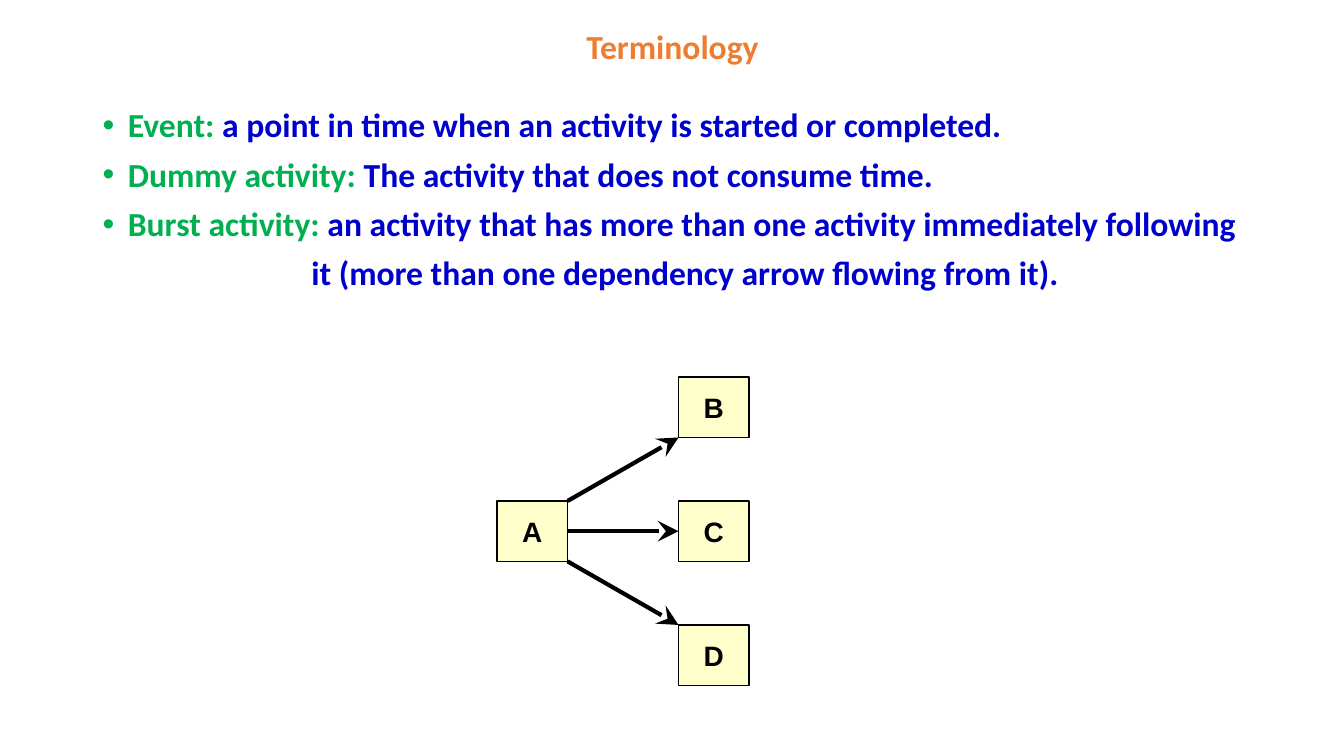
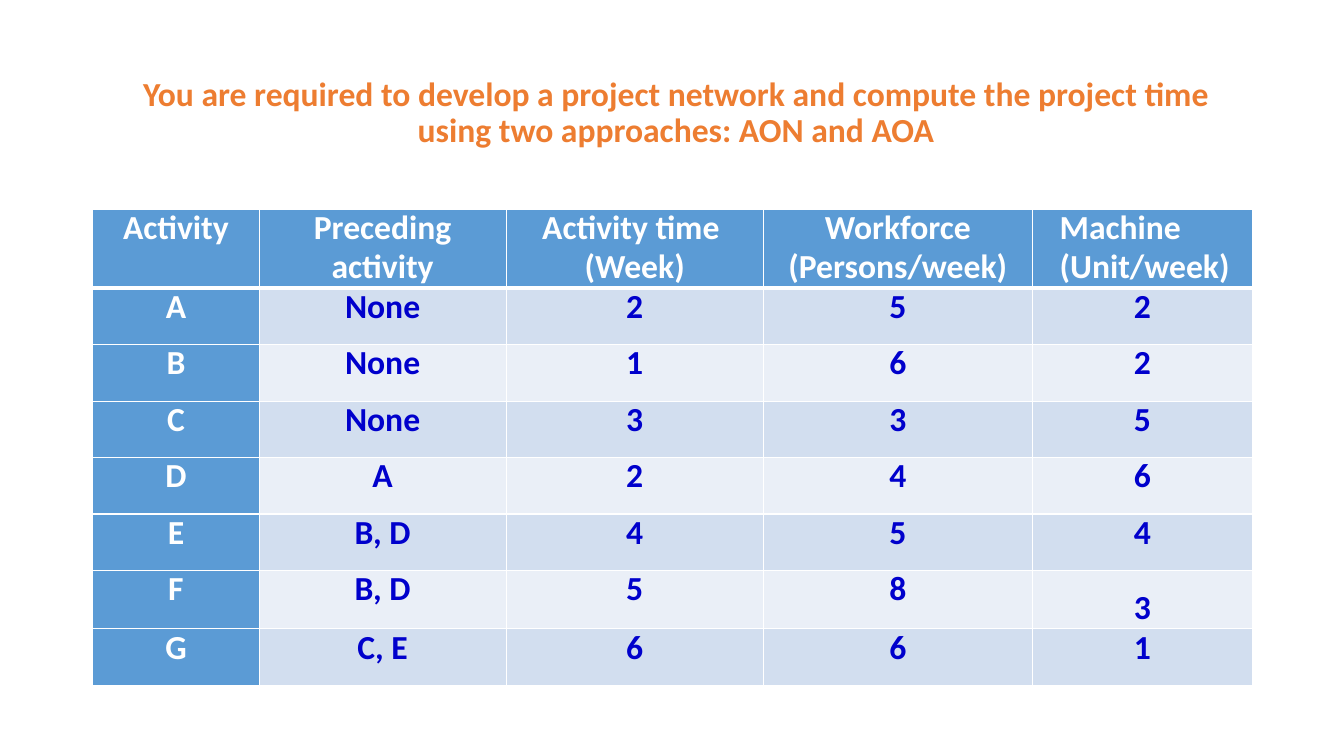
from dataclasses import dataclass

from lxml import etree
from pptx import Presentation
from pptx.dml.color import RGBColor
from pptx.enum.shapes import MSO_CONNECTOR, MSO_SHAPE
from pptx.enum.text import MSO_ANCHOR, PP_ALIGN
from pptx.oxml.ns import qn
from pptx.util import Inches, Pt

STRAIGHT = MSO_CONNECTOR.STRAIGHT
RECTANGLE = MSO_SHAPE.RECTANGLE
TOP, MIDDLE = MSO_ANCHOR.TOP, MSO_ANCHOR.MIDDLE
LEFT, CENTER = PP_ALIGN.LEFT, PP_ALIGN.CENTER

ORANGE, GREEN, BLUE = "ED7D31", "00B050", "0000CC"
BLACK, WHITE, CREAM = "000000", "FFFFFF", "FFFFCC"
HEADER_FILL, BANDS = "5B9BD5", ("D2DEEF", "EAEFF7")


@dataclass(frozen=True)
class Definition:
    term: str
    meaning: str


@dataclass(frozen=True)
class Activity:
    name: str
    left: float
    top: float
    width: float = 0.7
    height: float = 0.6


@dataclass(frozen=True)
class Dependency:
    source: Activity
    target: Activity
    leave: float
    arrive: float


@dataclass(frozen=True)
class Column:
    heading: str
    width: float
    align: PP_ALIGN = CENTER
    indent: float = 0.07


DEFINITIONS = (
    Definition("Event: ", "a point in time when an activity is started or completed."),
    Definition("Dummy activity: ", "The activity that does not consume time."),
    Definition("Burst activity: ", "an activity that has more than one activity immediately following"),
)
CONTINUATION = "it (more than one dependency arrow flowing from it)."

BURST = Activity("A", 4.93, 4.97)
FOLLOWERS = tuple(Activity(name, 6.73, 3.74 + 1.23 * index) for index, name in enumerate("BCD"))
DEPENDENCIES = tuple(
    Dependency(BURST, follower, index / 2, 1 - index / 2) for index, follower in enumerate(FOLLOWERS)
)

COLUMNS = (
    Column("Activity", 1.65),
    Column("Preceding\nactivity", 2.45),
    Column("Activity time \n(Week)", 2.55),
    Column("Workforce\n(Persons/week)", 2.67),
    Column("Machine\n(Unit/week)", 2.18, LEFT, 0.27),
)
ROWS = (
    ("A", "None", "2", "5", "2"),
    ("B", "None", "1", "6", "2"),
    ("C", "None", "3", "3", "5"),
    ("D", "A", "2", "4", "6"),
    ("E", "B, D", "4", "5", "4"),
    ("F", "B, D", "5", "8", "3"),
    ("G", "C, E", "6", "6", "1"),
)
HEADER_HEIGHT, ROW_HEIGHT, TALL_HEIGHT = 0.78, 0.56, 0.58
LOWERED_CELL = (6, 4)


def color(value: str) -> RGBColor:
    return RGBColor.from_string(value)


def add_span(para, text: str, *, fill: str, size: float = 24, font: str = "Calibri") -> None:
    span = para.add_run()
    span.text = text
    span.font.name = font
    span.font.size = Pt(size)
    span.font.bold = True
    span.font.color.rgb = color(fill)


def add_text_box(page, left: float, top: float, width: float, height: float, anchor: MSO_ANCHOR):
    box = page.shapes.add_textbox(Inches(left), Inches(top), Inches(width), Inches(height))
    box.text_frame.word_wrap = True
    box.text_frame.vertical_anchor = anchor
    return box.text_frame


def add_title(page, text: str, left: float, top: float, width: float, height: float) -> None:
    para = add_text_box(page, left, top, width, height, MIDDLE).paragraphs[0]
    para.alignment = CENTER
    para.line_spacing = 0.9
    add_span(para, text, fill=ORANGE)


def indent_para(para, margin: float, hanging: float = 0, bullet: str = "") -> None:
    properties = para._p.get_or_add_pPr()
    properties.set("marL", str(Inches(margin)))
    properties.set("indent", str(-Inches(hanging)))
    if bullet:
        etree.SubElement(properties, qn("a:buFont"), typeface="Arial")
        etree.SubElement(properties, qn("a:buChar"), char=bullet)


def add_definitions(page) -> None:
    frame = add_text_box(page, 0.92, 1.03, 11.5, 6.05, TOP)
    for index in range(len(DEFINITIONS) + 1):
        para = frame.add_paragraph() if index else frame.paragraphs[0]
        para.line_spacing = 0.9
        para.space_before = Pt(9.3 if index else 0)
        if index < len(DEFINITIONS):
            indent_para(para, 0.25, 0.25, "•")
            add_span(para, DEFINITIONS[index].term, fill=GREEN)
            add_span(para, DEFINITIONS[index].meaning, fill=BLUE)
        else:
            indent_para(para, 2.07)
            add_span(para, CONTINUATION, fill=BLUE)


def add_dependency(page, link: Dependency) -> None:
    source, target = link.source, link.target
    arrow = page.shapes.add_connector(
        STRAIGHT,
        Inches(source.left + source.width),
        Inches(source.top + source.height * link.leave),
        Inches(target.left),
        Inches(target.top + target.height * link.arrive),
    )
    arrow.line.color.rgb = color(BLACK)
    arrow.line.width = Pt(3)
    etree.SubElement(arrow.line._get_or_add_ln(), qn("a:tailEnd"), type="stealth", w="lg", len="lg")
    etree.SubElement(arrow._element.spPr, qn("a:effectLst"))


def add_activity(page, activity: Activity) -> None:
    box = page.shapes.add_shape(
        RECTANGLE, Inches(activity.left), Inches(activity.top), Inches(activity.width), Inches(activity.height)
    )
    box.shadow.inherit = False
    box.fill.solid()
    box.fill.fore_color.rgb = color(CREAM)
    box.line.color.rgb = color(BLACK)
    box.line.width = Pt(1)
    box.text_frame.vertical_anchor = MIDDLE
    para = box.text_frame.paragraphs[0]
    para.alignment = CENTER
    add_span(para, activity.name, fill=BLACK, size=20, font="Arial")


def set_borders(cell, top: float, bottom: float) -> None:
    properties = cell._tc.get_or_add_tcPr()
    for side, width in (("L", 1), ("R", 1), ("T", top), ("B", bottom)):
        line = etree.SubElement(properties, qn(f"a:ln{side}"), w=str(Pt(width)))
        fill = etree.SubElement(line, qn("a:solidFill"))
        etree.SubElement(fill, qn("a:srgbClr"), val=WHITE)


def fill_cell(cell, text: str, *, fill: str, ink: str, align: PP_ALIGN, indent: float, drop: float) -> None:
    cell.margin_left, cell.margin_right = Inches(indent), Inches(0.07)
    cell.margin_top, cell.margin_bottom = Inches(drop), Inches(0)
    cell.fill.solid()
    cell.fill.fore_color.rgb = color(fill)
    for index, line in enumerate(text.split("\n")):
        para = cell.text_frame.add_paragraph() if index else cell.text_frame.paragraphs[0]
        para.alignment = align
        para.line_spacing = Pt(28)
        add_span(para, line, fill=ink)


def add_activity_table(page) -> None:
    lines = (tuple(column.heading for column in COLUMNS), *ROWS)
    tall_row = LOWERED_CELL[0]
    heights = [HEADER_HEIGHT] + [ROW_HEIGHT] * len(ROWS)
    heights[tall_row] = TALL_HEIGHT
    width = sum(column.width for column in COLUMNS)
    table = page.shapes.add_table(
        len(lines), len(COLUMNS), Inches(0.92), Inches(2.08), Inches(width), Inches(sum(heights))
    ).table
    table.first_row = table.horz_banding = False
    for index, column in enumerate(COLUMNS):
        table.columns[index].width = Inches(column.width)
    for row, line in enumerate(lines):
        table.rows[row].height = Inches(heights[row])
        for position, text in enumerate(line):
            cell = table.cell(row, position)
            is_header = row == 0
            is_heading = is_header or position == 0
            column = COLUMNS[position]
            set_borders(cell, 3 if row == 1 else 1, 3 if is_header else 1)
            fill_cell(
                cell,
                text,
                fill=HEADER_FILL if is_heading else BANDS[(row - 1) % 2],
                ink=WHITE if is_heading else BLUE,
                align=column.align if is_header else CENTER,
                indent=column.indent if is_header else 0.07,
                drop=0.19 if (row, position) == LOWERED_CELL else 0,
            )


def add_terminology_page(deck) -> None:
    page = deck.slides.add_slide(deck.slide_layouts[6])
    add_title(page, "Terminology", 0.92, 0.24, 11.5, 0.49)
    add_definitions(page)
    for link in DEPENDENCIES:
        add_dependency(page, link)
    for activity in (BURST, *FOLLOWERS):
        add_activity(page, activity)


def add_exercise_page(deck) -> None:
    page = deck.slides.add_slide(deck.slide_layouts[6])
    title = (
        "You are required to develop a project network and compute the project time "
        "using two approaches: AON and AOA"
    )
    add_title(page, title, 1.22, 0.4, 10.97, 1.45)
    add_activity_table(page)


def main() -> None:
    deck = Presentation()
    deck.slide_width, deck.slide_height = Inches(13.33), Inches(7.5)
    add_terminology_page(deck)
    add_exercise_page(deck)
    deck.save("out.pptx")


if __name__ == "__main__":
    main()
